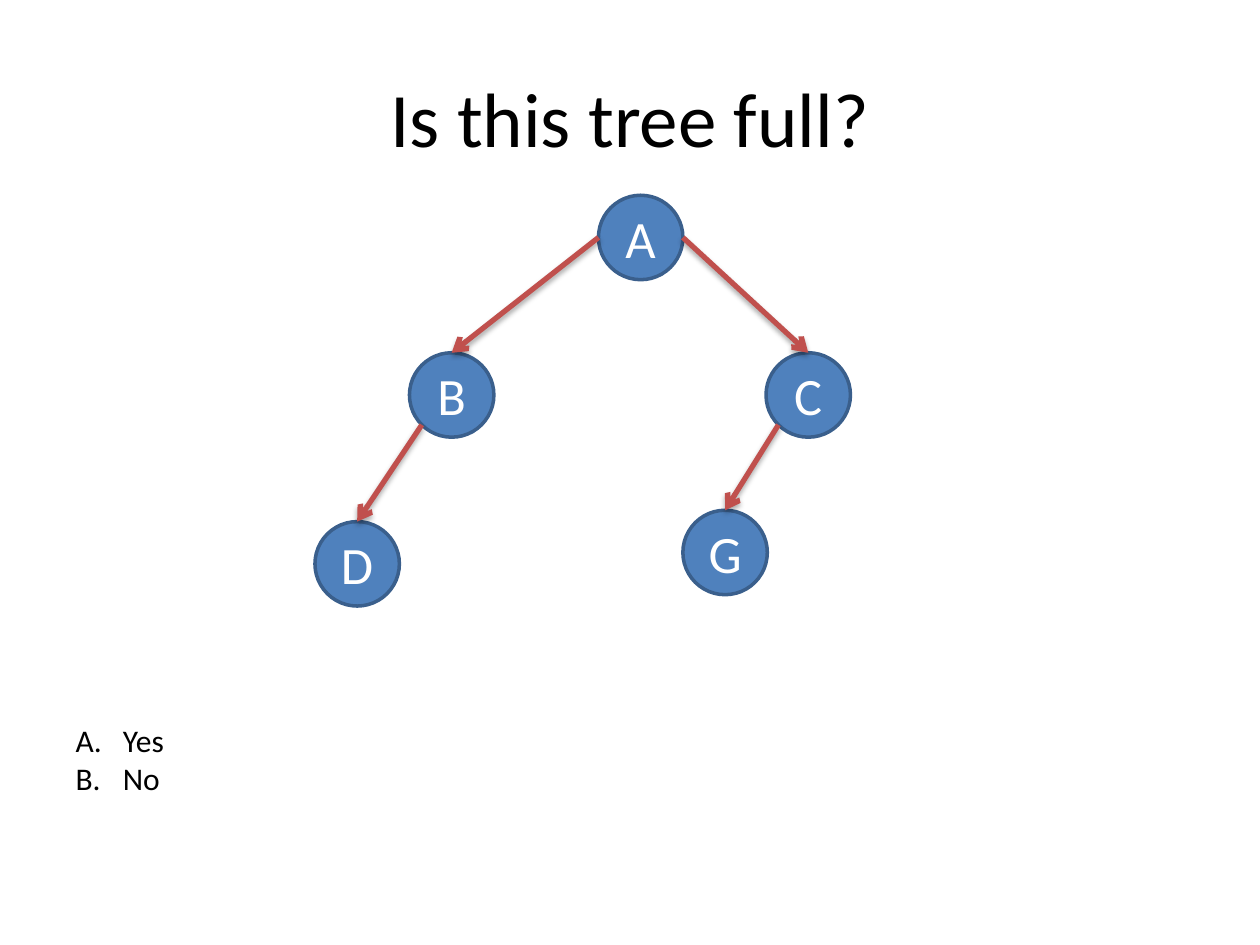
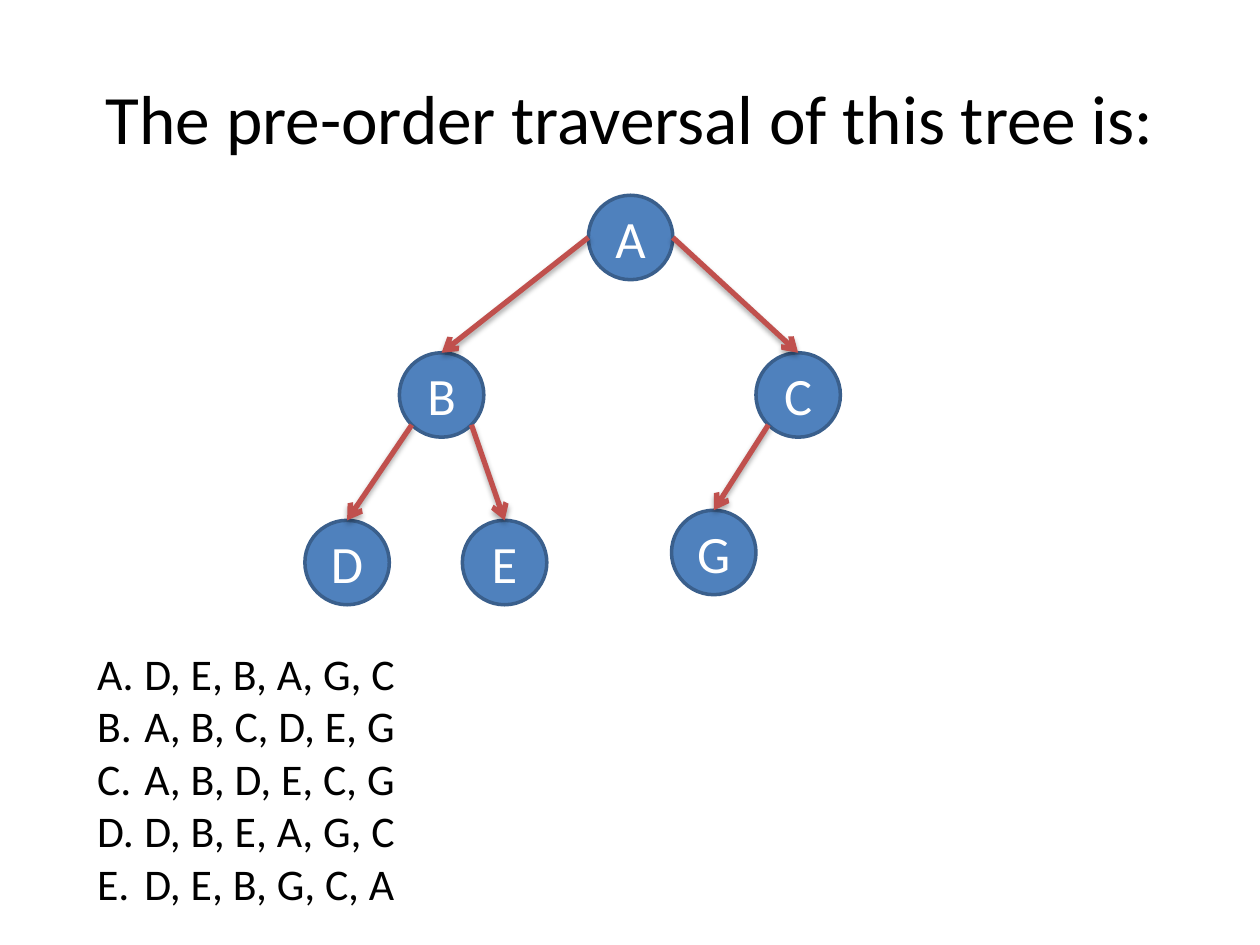
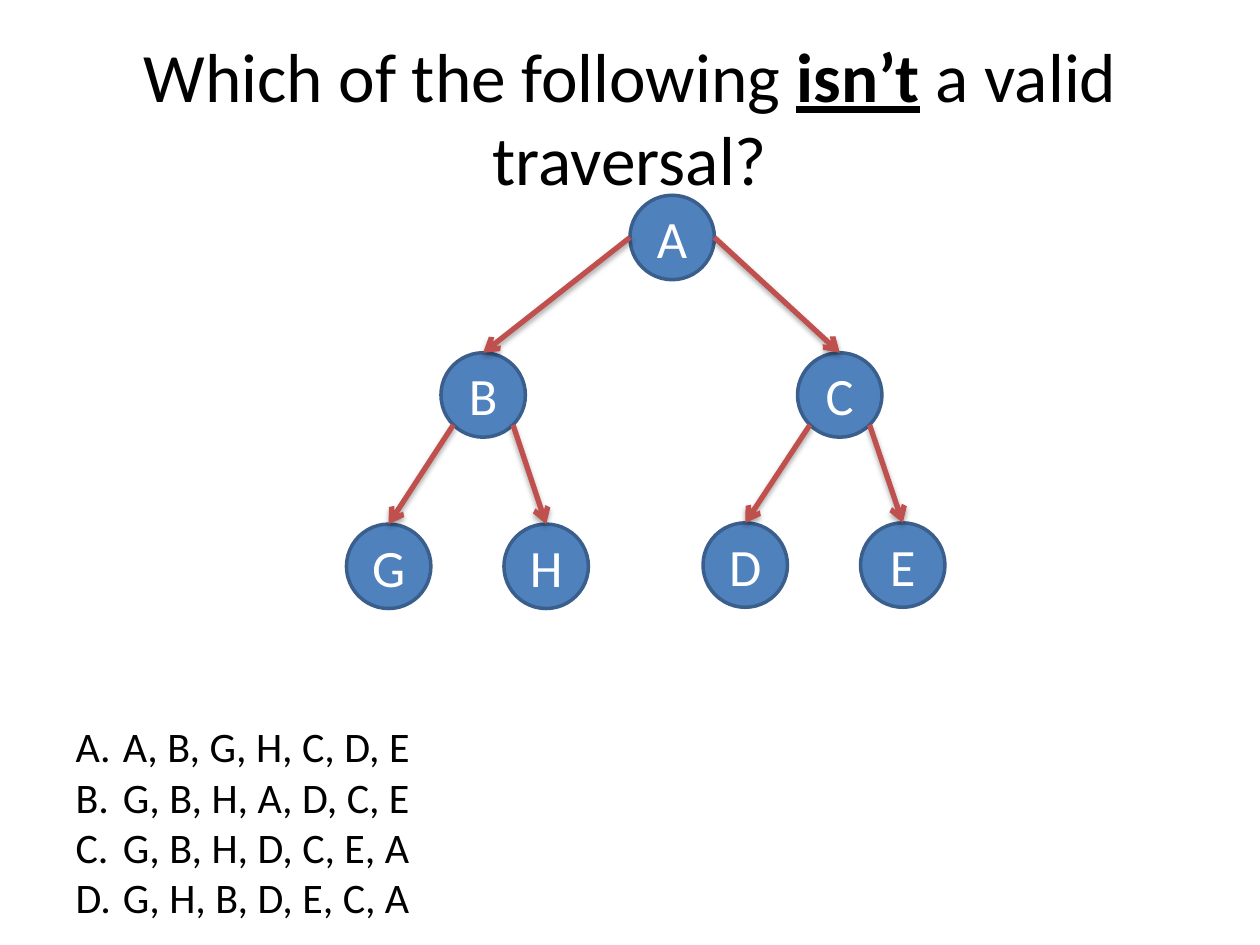
from math import sqrt

from lxml import etree
from pptx import Presentation
from pptx.dml.color import RGBColor
from pptx.enum import shapes, text
from pptx.oxml import parse_xml
from pptx.oxml import ns
from pptx.util import Inches, Pt

# Shared look
BLACK = RGBColor(0x00, 0x00, 0x00)
WHITE = RGBColor(0xFF, 0xFF, 0xFF)
NODE_FILL = RGBColor(0x4F, 0x81, 0xBD)
NODE_LINE = RGBColor(0x3A, 0x5F, 0x8C)
EDGE = RGBColor(0xC0, 0x50, 0x4D)
FONT = "Calibri"

DIAMETER = 0.67
RADIUS = DIAMETER / 2
DIAGONAL = RADIUS / sqrt(2)
ROOT_TOP, CHILD_TOP = 1.55, 2.8
INDENT = 0.375

SHADOW = (
    f'<a:effectLst {ns.nsdecls("a")}>'
    '<a:outerShdw blurRad="40000" dist="23000" dir="5400000" rotWithShape="0">'
    '<a:srgbClr val="000000"><a:alpha val="35000"/></a:srgbClr>'
    '</a:outerShdw></a:effectLst>'
)

# Leaves: label, parent, side of the parent (-1 left, 1 right), shift from parent, top
QUESTIONS = [
    dict(
        title=["Is this tree full?"], title_size=44, root_left=4.75,
        leaves=[("D", "B", -1, -0.75, 4.14), ("G", "C", -1, -0.66, 4.05)],
        answers=["Yes", "No"],
        answer_size=18, answer_box=(0.5, 5.67, 0.91, 0.71),
    ),
    dict(
        title=["The pre-order traversal of this tree is:"], title_size=39.6, root_left=4.67,
        leaves=[("D", "B", -1, -0.75, 4.13), ("E", "B", 1, 0.5, 4.13),
                ("G", "C", -1, -0.67, 4.05)],
        answers=["D, E, B, A, G, C", "A, B, C, D, E, G", "A, B, D, E, C, G",
                 "D, B, E, A, G, C", "D, E, B, G, C, A"],
        answer_size=25, answer_box=(0.67, 5.08, 2.59, 2.2),
    ),
    dict(
        # The middle part is the stressed one
        title=["Which of the following ", "isn’t", " a valid traversal?"],
        title_size=39.6, root_left=5,
        leaves=[("G", "B", -1, -0.75, 4.16), ("H", "B", 1, 0.5, 4.16),
                ("D", "C", -1, -0.75, 4.15), ("E", "C", 1, 0.5, 4.15)],
        answers=["A, B, G, H, C, D, E", "G, B, H, A, D, C, E",
                 "G, B, H, D, C, E, A", "G, H, B, D, E, C, A"],
        answer_size=24, answer_box=(0.5, 5.67, 2.87, 1.72),
    ),
]


def style_run(run, size, color):
    run.font.name = FONT
    run.font.size = Pt(size)
    run.font.color.rgb = color


prs = Presentation()
prs.slide_width, prs.slide_height = Inches(10), Inches(7.5)

for question in QUESTIONS:
    slide = prs.slides.add_slide(prs.slide_layouts[1])

    # Title
    heading = slide.shapes.title.text_frame
    heading.auto_size = text.MSO_AUTO_SIZE.NONE
    for position, part in enumerate(question["title"]):
        run = heading.paragraphs[0].add_run()
        run.text = part
        style_run(run, question["title_size"], BLACK)
        if position == 1:
            run.font.bold = run.font.underline = True

    # Lettered answers
    answers = slide.placeholders[1]
    answers.left, answers.top, answers.width, answers.height = map(Inches, question["answer_box"])
    answers.text_frame.text = "\n".join(question["answers"])
    answers.text_frame.word_wrap = False
    answers.text_frame.auto_size = text.MSO_AUTO_SIZE.NONE
    for answer in answers.text_frame.paragraphs:
        answer.space_before = Pt(0)
        style_run(answer.runs[0], question["answer_size"], BLACK)
        properties = answer._p.get_or_add_pPr()
        properties.set("marL", str(Inches(INDENT)))
        properties.set("indent", str(-Inches(INDENT)))
        etree.SubElement(properties, ns.qn("a:buFont"), typeface="+mj-lt")
        etree.SubElement(properties, ns.qn("a:buAutoNum"), type="alphaUcPeriod")

    # Node places and edges, from the root down
    root_left = question["root_left"]
    places = {"A": (root_left, ROOT_TOP),
              "B": (root_left - 1.5, CHILD_TOP),
              "C": (root_left + 1.33, CHILD_TOP)}
    edges = [("A", "B", -1), ("A", "C", 1)]
    for label, parent, side, shift, top in question["leaves"]:
        places[label] = (places[parent][0] + shift, top)
        edges.append((parent, label, side))

    # Nodes
    for label, (left, top) in places.items():
        node = slide.shapes.add_shape(shapes.MSO_SHAPE.OVAL, Inches(left), Inches(top),
                                      Inches(DIAMETER), Inches(DIAMETER))
        node.shadow.inherit = False
        node.fill.solid()
        node.fill.fore_color.rgb = NODE_FILL
        node.line.color.rgb = NODE_LINE
        node.line.width = Pt(2)
        node.text_frame.text = label
        node.text_frame.vertical_anchor = text.MSO_ANCHOR.MIDDLE
        node.text_frame.paragraphs[0].alignment = text.PP_ALIGN.CENTER
        style_run(node.text_frame.paragraphs[0].runs[0], 30, WHITE)

    # Edges leave the root at its side, other nodes at a lower corner
    for parent, child, side in edges:
        reach, drop = (RADIUS, 0) if parent == "A" else (DIAGONAL, DIAGONAL)
        parent_left, parent_top = places[parent]
        child_left, child_top = places[child]
        edge = slide.shapes.add_connector(
            shapes.MSO_CONNECTOR.STRAIGHT,
            Inches(parent_left + RADIUS + side * reach), Inches(parent_top + RADIUS + drop),
            Inches(child_left + RADIUS), Inches(child_top))
        edge.line.color.rgb = EDGE
        edge.line.width = Pt(3)
        etree.SubElement(edge.line._get_or_add_ln(), ns.qn("a:tailEnd"), type="arrow")
        edge._element.spPr.append(parse_xml(SHADOW))

prs.save("out.pptx")
